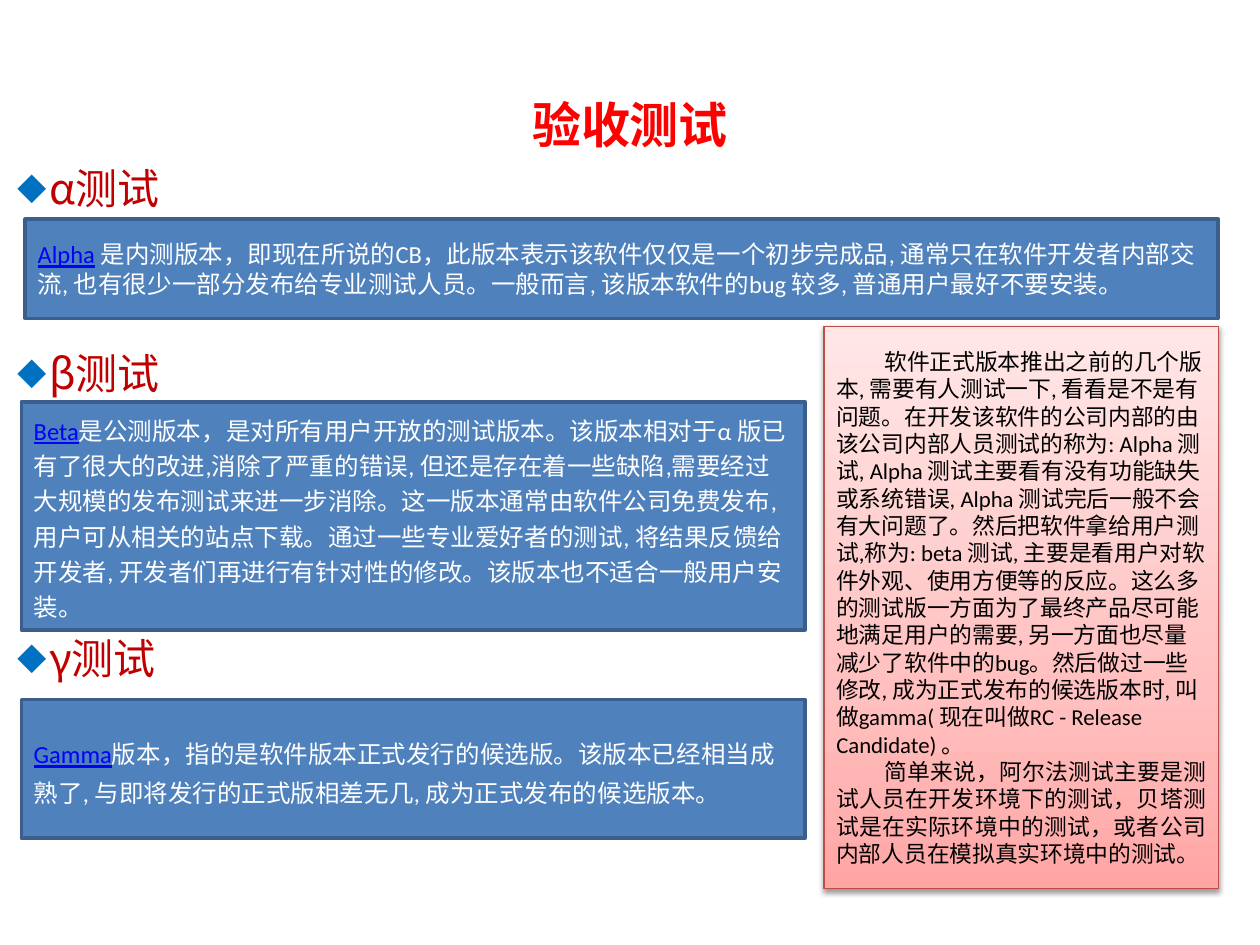
from pptx import Presentation
from pptx.dml.color import RGBColor
from pptx.enum.shapes import MSO_SHAPE
from pptx.enum.text import MSO_ANCHOR, MSO_AUTO_SIZE, PP_ALIGN
from pptx.oxml import parse_xml
from pptx.oxml.ns import nsdecls, qn
from pptx.util import Cm, Pt

RECT = MSO_SHAPE.RECTANGLE
MIDDLE, TOP = MSO_ANCHOR.MIDDLE, MSO_ANCHOR.TOP
LEFT, CENTER, JUST = PP_ALIGN.LEFT, PP_ALIGN.CENTER, PP_ALIGN.JUSTIFY
FIXED = MSO_AUTO_SIZE.NONE
HAN = "Noto Sans CJK SC"

ALPHA = " 是内测版本，即现在所说的CB，此版本表示该软件仅仅是一个初步完成品, 通常只在软件开发者内部交流, 也有很少一部分发布给专业测试人员。一般而言, 该版本软件的bug 较多, 普通用户最好不要安装。"
BETA = "是公测版本，是对所有用户开放的测试版本。该版本相对于α 版已有了很大的改进,消除了严重的错误, 但还是存在着一些缺陷,需要经过大规模的发布测试来进一步消除。这一版本通常由软件公司免费发布, 用户可从相关的站点下载。通过一些专业爱好者的测试, 将结果反馈给开发者, 开发者们再进行有针对性的修改。该版本也不适合一般用户安装。"
GAMMA = "版本，指的是软件版本正式发行的候选版。该版本已经相当成熟了, 与即将发行的正式版相差无几, 成为正式发布的候选版本。"
STORY = "软件正式版本推出之前的几个版本, 需要有人测试一下, 看看是不是有问题。在开发该软件的公司内部的由该公司内部人员测试的称为: Alpha 测试, Alpha 测试主要看有没有功能缺失或系统错误, Alpha 测试完后一般不会有大问题了。然后把软件拿给用户测试,称为: beta 测试, 主要是看用户对软件外观、使用方便等的反应。这么多的测试版一方面为了最终产品尽可能地满足用户的需要, 另一方面也尽量减少了软件中的bug。然后做过一些修改, 成为正式发布的候选版本时, 叫做gamma( 现在叫做RC - Release Candidate) 。"
BRIEF = "简单来说，阿尔法测试主要是测试人员在开发环境下的测试，贝塔测试是在实际环境中的测试，或者公司内部人员在模拟真实环境中的测试。"


def color(code):
    """Turn a hex string into a colour."""
    return RGBColor.from_string(code)


def write(para, text, size=14, hue="FFFFFF", font="Calibri", bold=False, under=False):
    """Add a formatted run to a paragraph."""
    run = para.add_run()
    run.text = text
    face = run.font
    face.size, face.name, face.bold, face.underline = Pt(size), font, bold, under
    face.color.rgb = color(hue)
    if font == HAN:
        face.fill
        run._r.get_or_add_rPr().find(qn("a:latin")).addnext(
            parse_xml(f'<a:ea {nsdecls("a")} typeface="{HAN}"/>'))


def place(shape, box):
    """Move a shape to a box given in centimetres."""
    shape.left, shape.top, shape.width, shape.height = (Cm(n) for n in box)


def space(para, align, before=0, after=0, line=1.0):
    """Set the alignment and spacing of a paragraph."""
    para.alignment, para.line_spacing = align, line
    para.space_before, para.space_after = Pt(before), Pt(after)


def mark(para):
    """Give a paragraph a blue diamond and a hanging indent."""
    props = para._p.get_or_add_pPr()
    props.set("marL", str(Cm(0.82)))
    props.set("indent", str(-Cm(0.65)))
    for part in ('buClr><a:srgbClr val="0070C0"/></a:buClr',
                 'buSzPct val="70000"/',
                 f'buFont typeface="{HAN}"/',
                 'buChar char="◆"/'):
        tag = part.split(">")[0].split()[0]
        head = f"<a:{part}>".replace(f"<a:{tag}", f"<a:{tag} {nsdecls('a')}", 1)
        props.append(parse_xml(head))


def head(slide, box):
    """Fill the title placeholder."""
    title = slide.shapes.title
    place(title, box)
    frame = title.text_frame
    frame.auto_size, frame.vertical_anchor = FIXED, MIDDLE
    para = frame.paragraphs[0]
    space(para, CENTER)
    write(para, "验收测试", size=28, hue="FF0000", font=HAN, bold=True)


def topics(slide, box):
    """Fill the body placeholder with the three topics."""
    body = slide.placeholders[1]
    place(body, box)
    frame = body.text_frame
    frame.auto_size, frame.vertical_anchor = FIXED, TOP
    for i, (name, gap) in enumerate((("α测试", 0), ("β测试", 70), ("γ测试", 127))):
        para = frame.add_paragraph() if i else frame.paragraphs[0]
        space(para, JUST, before=gap, after=6, line=Pt(30))
        mark(para)
        write(para, name, size=24, hue="C00000", font=HAN)


def block(slide, box, edge, width):
    """Add a rectangle with a border and centred wrapping text frame."""
    rect = slide.shapes.add_shape(RECT, *(Cm(n) for n in box))
    rect.shadow.inherit = False
    rect.line.color.rgb, rect.line.width = color(edge), Pt(width)
    rect.text_frame.word_wrap = True
    rect.text_frame.vertical_anchor = MIDDLE
    return rect


def card(slide, box, term, text, line):
    """Add a blue card that explains one term."""
    rect = block(slide, box, "3A5F8C", 2)
    rect.fill.solid()
    rect.fill.fore_color.rgb = color("4F81BD")
    para = rect.text_frame.paragraphs[0]
    space(para, LEFT, line=line)
    write(para, term, hue="0000FF", under=True)
    write(para, text)


def panel(slide, box):
    """Add the shaded red panel with the summary."""
    rect = block(slide, box, "BF4C48", 0.75)
    rect.fill.background()
    props = rect._element.spPr
    stops = "".join(f'<a:gs pos="{pos}000"><a:srgbClr val="{hue}"/></a:gs>'
                    for pos, hue in ((0, "FFA6A5"), (35, "FFC0BF"), (100, "FFE7E7")))
    props.replace(props.find(qn("a:noFill")), parse_xml(
        f'<a:gradFill {nsdecls("a")} rotWithShape="1"><a:gsLst>{stops}</a:gsLst>'
        '<a:lin ang="16200000" scaled="1"/></a:gradFill>'))
    props.find(qn("a:effectLst")).append(parse_xml(
        f'<a:outerShdw {nsdecls("a")} blurRad="40000" dist="20000" dir="5400000" '
        'rotWithShape="0"><a:srgbClr val="000000"><a:alpha val="38000"/>'
        '</a:srgbClr></a:outerShdw>'))
    frame = rect.text_frame
    for i, (text, align) in enumerate(((STORY, LEFT), (BRIEF, JUST))):
        para = frame.add_paragraph() if i else frame.paragraphs[0]
        space(para, align)
        para._p.get_or_add_pPr().set("indent", str(Cm(0.97)))
        write(para, text, size=13, hue="000000")


def main():
    """Build and save the slide."""
    deck = Presentation()
    deck.slide_width, deck.slide_height = Cm(25.4), Cm(19.05)
    slide = deck.slides.add_slide(deck.slide_layouts[1])
    head(slide, (4.8, 1.4, 15.8, 2.2))
    topics(slide, (-0.08, 3.1, 24.08, 14))
    panel(slide, (16.61, 6.58, 7.95, 11.33))
    card(slide, (0.51, 4.42, 24.05, 2), "Alpha", ALPHA, 1.0)
    card(slide, (0.43, 8.1, 15.8, 4.6), "Beta", BETA, 1.2)
    card(slide, (0.43, 14.1, 15.8, 2.8), "Gamma", GAMMA, 1.3)
    deck.save("out.pptx")


if __name__ == "__main__":
    main()
